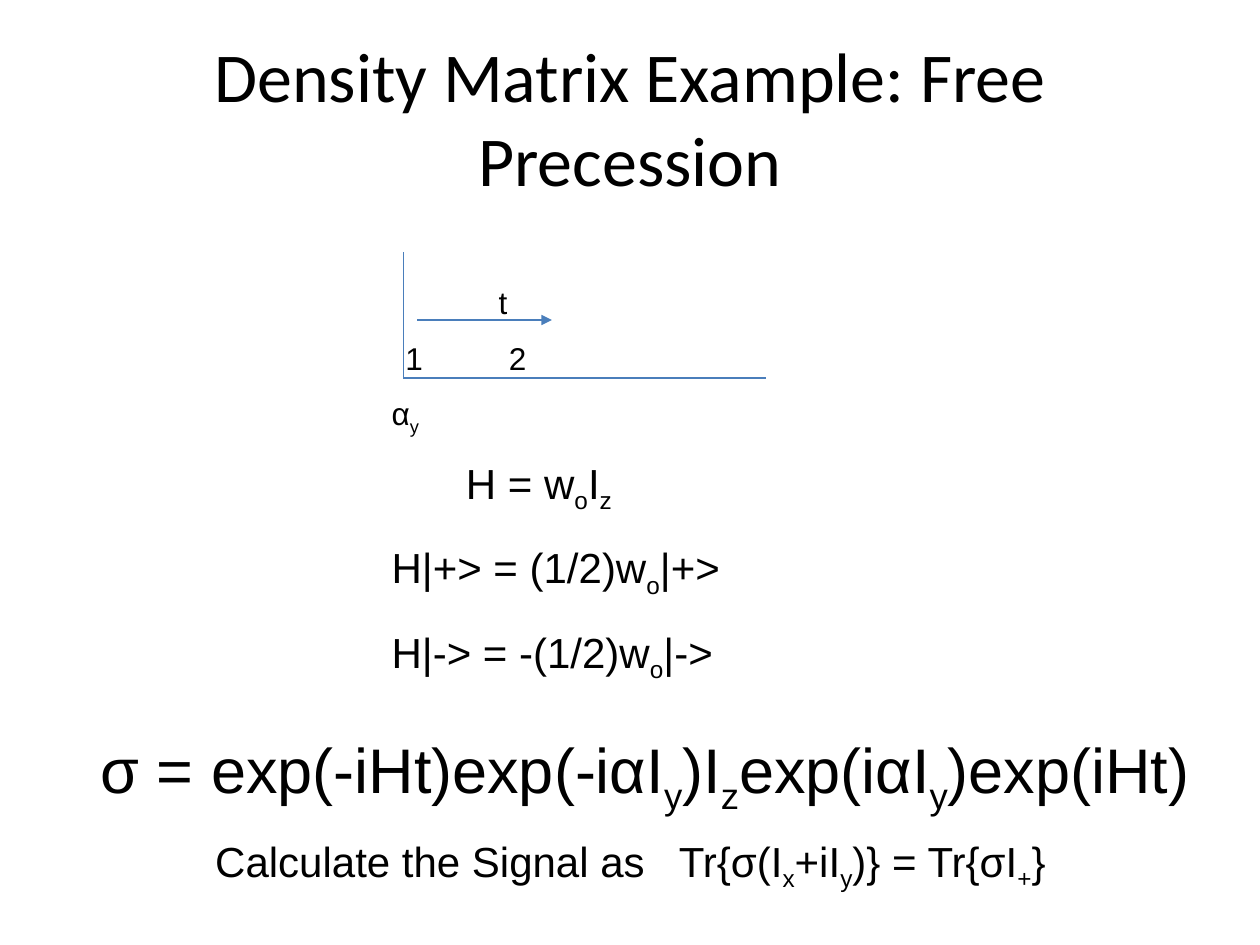
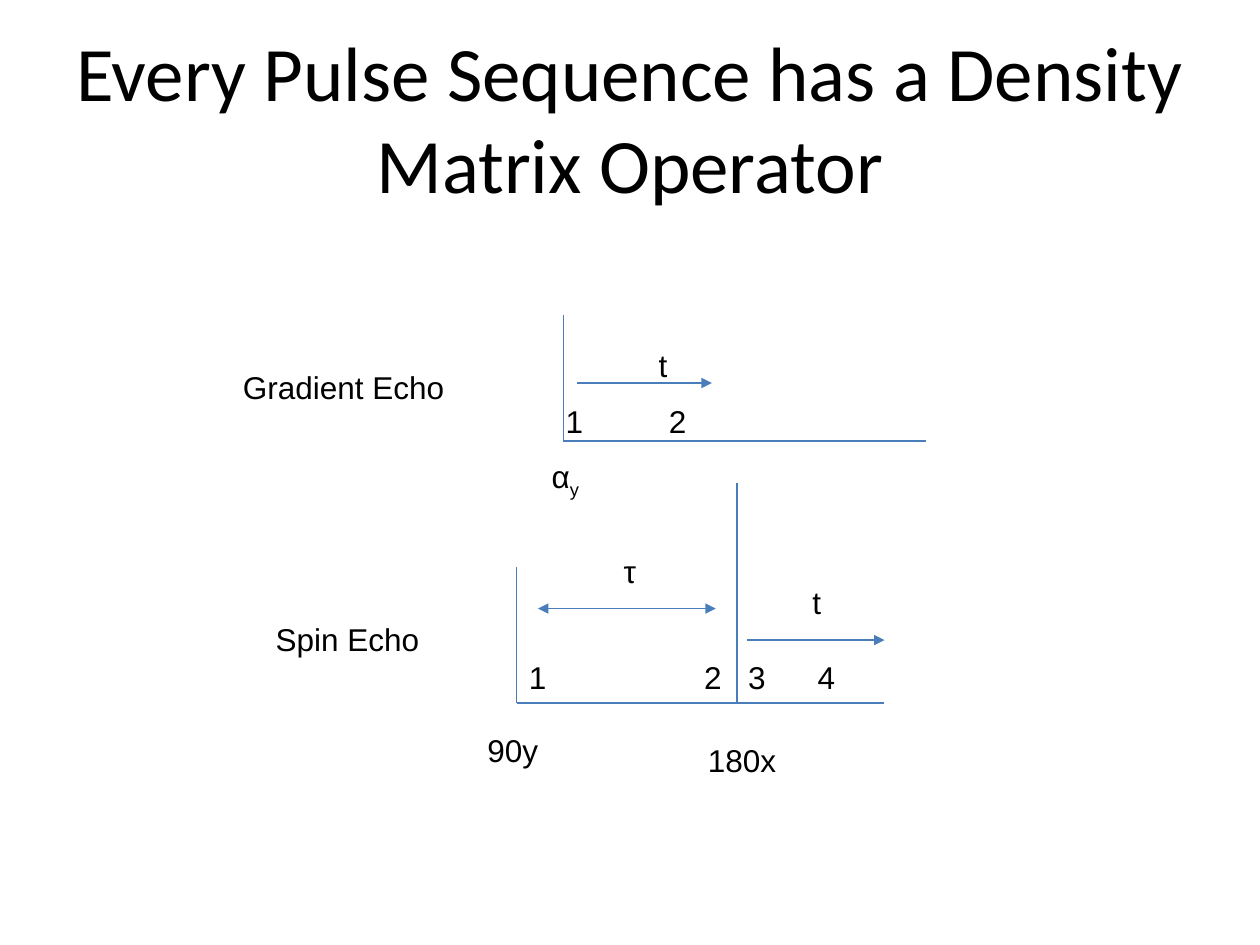
"""Build two slides on density matrices for free precession and echo pulse sequences."""
from pptx import Presentation
from pptx.dml.color import RGBColor
from pptx.enum.shapes import MSO_CONNECTOR
from pptx.enum.text import MSO_ANCHOR, MSO_AUTO_SIZE, PP_ALIGN
from pptx.oxml.ns import qn
from pptx.util import Pt
from lxml.etree import SubElement

PX = 9144
BLACK = RGBColor(0x00, 0x00, 0x00)
BLUE = RGBColor(0x4A, 0x7E, 0xBB)
LABEL_FRAME = {"auto_size": MSO_AUTO_SIZE.SHAPE_TO_FIT_TEXT, "word_wrap": False}
TABBED_FRAME = {"auto_size": MSO_AUTO_SIZE.SHAPE_TO_FIT_TEXT, "word_wrap": True}
TITLE_FRAME = {
    "auto_size": MSO_AUTO_SIZE.NONE,
    "word_wrap": True,
    "vertical_anchor": MSO_ANCHOR.MIDDLE,
    "margin_left": 0,
    "margin_right": 0,
    "margin_top": 0,
    "margin_bottom": 0,
}


def add_text(shapes, text, box, size=18, name="Arial", frame_format=LABEL_FRAME,
             align=PP_ALIGN.LEFT, tabs=()):
    """Add a text box in which every second part between underscores is a subscript."""
    frame = shapes.add_textbox(*(value * PX for value in box)).text_frame
    for attribute, value in frame_format.items():
        setattr(frame, attribute, value)
    paragraph = frame.paragraphs[0]
    paragraph.alignment = align
    if tabs:
        tab_list = SubElement(paragraph._p.get_or_add_pPr(), qn("a:tabLst"))
        for position in tabs:
            SubElement(tab_list, qn("a:tab"), pos=str(position * PX), algn="l")
    for index, part in enumerate(text.split("_")):
        if part:
            run = paragraph.add_run()
            run.text = part
            run.font.color.rgb = BLACK
            for attribute, value in {"size": Pt(size), "name": name}.items():
                setattr(run.font, attribute, value)
            if index % 2:
                run._r.get_or_add_rPr().set("baseline", "-25000")


def add_line(shapes, points, arrow_ends=()):
    """Add a thin blue line with triangles at the named ends."""
    line = shapes.add_connector(MSO_CONNECTOR.STRAIGHT, *(value * PX for value in points))
    line.line.color.rgb = BLUE
    line.line.width = Pt(0.75)
    for end in arrow_ends:
        SubElement(line.line._get_or_add_ln(), qn(f"a:{end}"), type="triangle")
    SubElement(line._element.spPr, qn("a:effectLst"))


presentation = Presentation()
presentation.slide_width = 1000 * PX
presentation.slide_height = 750 * PX

TITLES = [
    ("Density Matrix Example: Free Precession", (50, 21, 900, 143), 40),
    ("Every Pulse Sequence has a Density Matrix Operator", (50, 14, 900, 157), 44),
]
GRADIENT_ECHO_ORIGINS = [(320, 300), (447, 350)]

slides = []
for (title, box, size), (x, y) in zip(TITLES, GRADIENT_ECHO_ORIGINS):
    slide = presentation.slides.add_slide(presentation.slide_layouts[6])
    slides.append(slide)
    add_text(slide.shapes, title, box, size, "Calibri", TITLE_FRAME, PP_ALIGN.CENTER)
    gradient_echo = slide.shapes.add_group_shape().shapes
    add_line(gradient_echo, (x, y, x, y - 100))
    add_line(gradient_echo, (x, y, x + 288, y))
    add_line(gradient_echo, (x + 11, y - 46, x + 118, y - 46), ["tailEnd"])
    for text, left, top, width, height in [
        ("α_y_", -19, 8, 43, 44),
        ("t", 66, -80, 27, 40),
        ("1", -8, -36, 34, 40),
        ("2", 74, -36, 34, 40),
    ]:
        add_text(gradient_echo, text, (x + left, y + top, width, height))

precession, sequences = slides

for text, box, size in [
    ("H = w_o_I_z_", (360, 358, 140, 56), 24),
    ("H|+> = (1/2)w_o_|+>", (301, 425, 290, 56), 24),
    ("H|-> = -(1/2)w_o_|->", (301, 492, 290, 56), 24),
    ("σ = exp(-iHt)exp(-iαI_y_)I_z_exp(iαI_y_)exp(iHt)", (70, 575, 894, 79), 36),
]:
    add_text(precession.shapes, text, box, size)
add_text(precession.shapes, "Calculate the Signal as\tTr{σ(I_x_+iI_y_)} = Tr{σI_+_}",
         (161, 658, 700, 56), 24, frame_format=TABBED_FRAME, tabs=[368])

spin_echo = sequences.shapes.add_group_shape().shapes
for points, arrow_ends in [
    ((410, 558, 410, 450), []),
    ((585, 558, 585, 383), []),
    ((410, 558, 702, 558), []),
    ((427, 483, 568, 483), ["headEnd", "tailEnd"]),
    ((593, 508, 702, 508), ["tailEnd"]),
]:
    add_line(spin_echo, points, arrow_ends)
for text, box in [
    ("90y", (377, 575, 60, 40)),
    ("180x", (552, 583, 74, 40)),
    ("τ", (485, 433, 31, 40)),
    ("t", (635, 458, 27, 40)),
]:
    add_text(spin_echo, text, box)
add_text(spin_echo, "1\t2\t3\t4", (410, 517, 263, 40), frame_format=TABBED_FRAME,
         tabs=[139, 174, 229])

for text, box in [
    ("Gradient Echo", (183, 287, 180, 40)),
    ("Spin Echo", (209, 487, 134, 40)),
]:
    add_text(sequences.shapes, text, box)

presentation.save("out.pptx")
